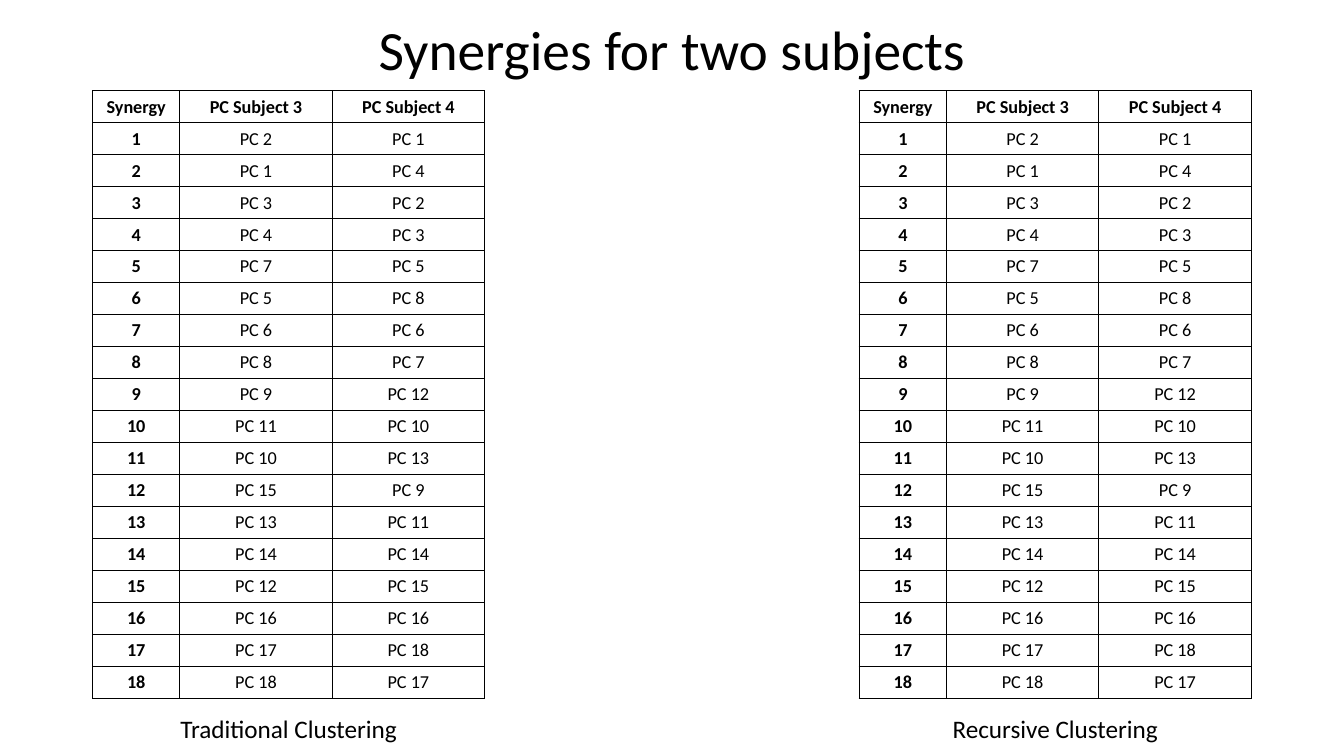
"""Build a slide comparing the synergies of two subjects under two clusterings."""
from dataclasses import dataclass

from lxml import etree
from pptx import Presentation
from pptx.dml.color import RGBColor
from pptx.enum.text import MSO_ANCHOR, PP_ALIGN
from pptx.oxml.ns import qn
from pptx.util import Pt

CENTER = PP_ALIGN.CENTER
MIDDLE = MSO_ANCHOR.MIDDLE
TOP = MSO_ANCHOR.TOP

TITLE = "Synergies for two subjects"
HEADINGS = ("Synergy", "PC Subject 3", "PC Subject 4")
COMPONENTS = {
    "Traditional Clustering": (
        (2, 1, 3, 4, 7, 5, 6, 8, 9, 11, 10, 15, 13, 14, 12, 16, 17, 18),
        (1, 4, 2, 3, 5, 8, 6, 7, 12, 10, 13, 9, 11, 14, 15, 16, 18, 17),
    ),
    "Recursive Clustering": (
        (2, 1, 3, 4, 7, 5, 6, 8, 9, 11, 10, 15, 13, 14, 12, 16, 17, 18),
        (1, 4, 2, 3, 5, 8, 6, 7, 12, 10, 13, 9, 11, 14, 15, 16, 18, 17),
    ),
}


@dataclass(frozen=True)
class Theme:
    font: str = "Calibri"
    ink: str = "000000"
    title: float = 39.6
    caption: float = 18
    cell: float = 13
    border: float = 1


THEME = Theme()
SLIDE_WIDTH, SLIDE_HEIGHT = 960, 540
MARGIN = 66.2
CONTENT_WIDTH = SLIDE_WIDTH - 2 * MARGIN
TITLE_TOP, TITLE_HEIGHT = 18.7, 38.2
TABLE_TOP, ROW_HEIGHT = 64.8, 22.85
COLUMN_WIDTHS = (62.2, 108.9, 108.9)
TABLE_WIDTH = sum(COLUMN_WIDTHS)
TABLE_STEP = CONTENT_WIDTH - TABLE_WIDTH
CAPTION_TOP, CAPTION_WIDTH, CAPTION_HEIGHT = 506.2, 172, 29


def write(frame, text, size, bold=False):
    frame.text = text
    paragraph = frame.paragraphs[0]
    paragraph.alignment = CENTER
    font = paragraph.runs[0].font
    font.name, font.size, font.bold = THEME.font, Pt(size), bold
    font.color.rgb = RGBColor.from_string(THEME.ink)
    return paragraph


def add_label(slide, text, size, left, top, width, height, anchor=TOP):
    frame = slide.shapes.add_textbox(Pt(left), Pt(top), Pt(width), Pt(height)).text_frame
    frame.word_wrap = True
    frame.vertical_anchor = anchor
    return write(frame, text, size)


def outline(cell):
    properties = cell._tc.get_or_add_tcPr()
    for position, side in enumerate(("a:lnL", "a:lnR", "a:lnT", "a:lnB")):
        line = etree.Element(qn(side), w=str(Pt(THEME.border)))
        fill = etree.SubElement(line, qn("a:solidFill"))
        etree.SubElement(fill, qn("a:srgbClr"), val=THEME.ink)
        properties.insert(position, line)


def add_synergy_table(slide, left, subjects):
    rows = [HEADINGS]
    for synergy, pair in enumerate(zip(*subjects), start=1):
        rows.append((str(synergy), *(f"PC {component}" for component in pair)))
    table = slide.shapes.add_table(
        len(rows), len(HEADINGS), Pt(left), Pt(TABLE_TOP),
        Pt(TABLE_WIDTH), Pt(ROW_HEIGHT * len(rows)),
    ).table
    table.first_row = table.horz_banding = False
    for column, width in zip(table.columns, COLUMN_WIDTHS):
        column.width = Pt(width)
    for row_index, row in enumerate(rows):
        table.rows[row_index].height = Pt(ROW_HEIGHT)
        for column_index, text in enumerate(row):
            cell = table.cell(row_index, column_index)
            cell.fill.background()
            outline(cell)
            write(cell.text_frame, text, THEME.cell, row_index == 0 or column_index == 0)


def main():
    deck = Presentation()
    deck.slide_width, deck.slide_height = Pt(SLIDE_WIDTH), Pt(SLIDE_HEIGHT)
    slide = deck.slides.add_slide(deck.slide_layouts[6])
    title = add_label(slide, TITLE, THEME.title, MARGIN, TITLE_TOP,
                      CONTENT_WIDTH, TITLE_HEIGHT, MIDDLE)
    title.line_spacing = 0.9
    for index, (clustering, subjects) in enumerate(COMPONENTS.items()):
        left = MARGIN + index * TABLE_STEP
        add_synergy_table(slide, left, subjects)
        add_label(slide, clustering, THEME.caption, left + (TABLE_WIDTH - CAPTION_WIDTH) / 2,
                  CAPTION_TOP, CAPTION_WIDTH, CAPTION_HEIGHT)
    deck.save("out.pptx")


if __name__ == "__main__":
    main()
